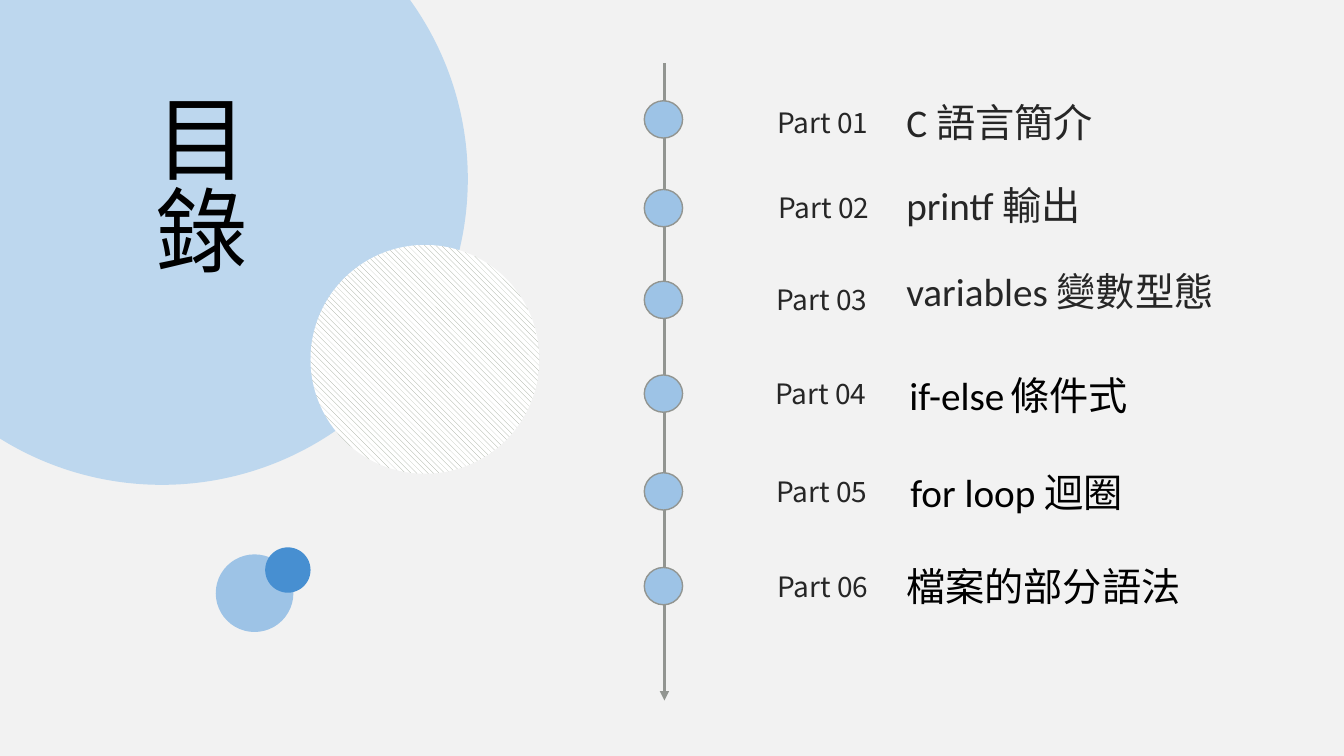
from dataclasses import dataclass

from pptx import Presentation
from pptx.dml.color import RGBColor
from pptx.enum import dml, shapes, text
from pptx.oxml.ns import qn
from pptx.util import Inches, Pt


@dataclass(frozen=True)
class Theme:
    """Colours, fonts and type sizes of the slide."""
    back: str = "F2F2F2"
    pale: str = "BDD7EE"
    light: str = "9DC3E6"
    blue: str = "478FD1"
    axis: str = "929591"
    hatch: str = "9AA394"
    white: str = "FFFFFF"
    black: str = "000000"
    ink: str = "262626"
    latin: str = "Calibri"
    arial: str = "Arial"
    korean: str = "Noto Sans CJK KR"
    simple: str = "Noto Sans CJK SC"
    trad: str = "Noto Sans CJK TC"
    title: int = 66
    topic: int = 28
    number: int = 20
    gap: int = 18


LOOK = Theme()
ROWS = [
    (1.0, 7.61, 1.0, 8.89, 0.93, LOOK.ink,
     [("C ", LOOK.latin), ("語言簡介", LOOK.arial)]),
    (1.88, 7.62, 1.84, 8.89, 1.75, LOOK.ink,
     [("printf ", LOOK.latin), ("輸出", LOOK.korean)]),
    (2.79, 7.6, 2.75, 8.89, 2.6, LOOK.ink,
     [("variables ", LOOK.latin), ("變數型態", LOOK.trad)]),
    (3.72, 7.59, 3.69, 8.92, 3.63, LOOK.black,
     [("if-else", LOOK.latin), (" ", LOOK.korean, LOOK.gap),
      ("條件式", LOOK.arial)]),
    (4.69, 7.6, 4.66, 8.93, 4.6, LOOK.black,
     [("for loop ", LOOK.latin), ("迴圈", LOOK.arial)]),
    (5.63, 7.61, 5.6, 8.89, 5.53, LOOK.black,
     [("檔案的部分語法", LOOK.latin)]),
]


def color(code):
    """Turn a hex code into a colour."""
    return RGBColor.from_string(code)


def style(run, face, size, ink):
    """Set face, size and colour of a run, East Asian text included."""
    run.font.name = face
    run.font.size = Pt(size)
    run.font.color.rgb = color(ink)
    props = run.font._element
    east = props.makeelement(qn("a:ea"), {"typeface": face})
    props.find(qn("a:latin")).addnext(east)


def circle(owner, left, top, wide, high, fill, line=None):
    """Draw a filled ellipse, outlined if a line colour is given."""
    disc = owner.add_shape(shapes.MSO_SHAPE.OVAL, Inches(left), Inches(top),
                           Inches(wide), Inches(high))
    disc.shadow.inherit = False
    disc.fill.solid()
    disc.fill.fore_color.rgb = color(fill)
    if line:
        disc.line.color.rgb = color(line)
        disc.line.width = Pt(1)
    else:
        disc.line.fill.background()
    return disc


def hatch(disc):
    """Give a disc a diagonal pattern."""
    disc.fill.patterned()
    disc.fill.pattern = dml.MSO_PATTERN.WIDE_DOWNWARD_DIAGONAL
    disc.fill.fore_color.rgb = color(LOOK.hatch)
    disc.fill.back_color.rgb = color(LOOK.white)


def arrow(owner, x, top, end):
    """Draw the vertical axis with an arrowhead at its end."""
    axis = owner.add_connector(shapes.MSO_CONNECTOR.STRAIGHT, Inches(x),
                               Inches(top), Inches(x), Inches(end))
    axis.line.color.rgb = color(LOOK.axis)
    axis.line.width = Pt(2.25)
    line = axis.line._get_or_add_ln()
    line.append(line.makeelement(qn("a:tailEnd"), {"type": "triangle"}))
    props = axis._element.spPr
    props.append(props.makeelement(qn("a:effectLst"), {}))


def label(slide, left, top, wide, high, ink, size, pieces):
    """Write one line of styled runs in a text box."""
    box = slide.shapes.add_textbox(Inches(left), Inches(top),
                                   Inches(wide), Inches(high))
    box.text_frame.word_wrap = True
    para = box.text_frame.paragraphs[0]
    for words, face, *own in pieces:
        run = para.add_run()
        run.text = words
        style(run, face, own[0] if own else size, ink)


def heading(slide, words):
    """Set the title vertically, in front of the discs."""
    title = slide.shapes.title
    title.left, title.top = Inches(1.31), Inches(0.86)
    title.width, title.height = Inches(1.31), Inches(2.99)
    frame = title.text_frame
    frame.text = words
    frame.word_wrap = True
    frame.auto_size = text.MSO_AUTO_SIZE.NONE
    frame.vertical_anchor = text.MSO_ANCHOR.TOP
    frame._txBody.bodyPr.set("vert", "eaVert")
    para = frame.paragraphs[0]
    para.alignment = text.PP_ALIGN.LEFT
    style(para.runs[0], LOOK.simple, LOOK.title, LOOK.black)
    slide.shapes._spTree.append(title._element)


def main():
    """Build and save the contents slide."""
    deck = Presentation()
    deck.slide_width, deck.slide_height = Inches(13.33), Inches(7.5)
    slide = deck.slides.add_slide(deck.slide_layouts[5])
    slide.background.fill.solid()
    slide.background.fill.fore_color.rgb = color(LOOK.back)

    pair = slide.shapes.add_group_shape().shapes
    circle(pair, 2.14, 5.5, 0.77, 0.77, LOOK.light)
    circle(pair, 2.63, 5.43, 0.45, 0.45, LOOK.blue)
    circle(slide.shapes, -1.43, -1.26, 6.07, 6.07, LOOK.pale)
    hatch(circle(slide.shapes, 3.08, 2.43, 2.27, 2.27, LOOK.white))
    heading(slide, "目錄")

    track = slide.shapes.add_group_shape().shapes
    arrow(track, 6.59, 0.63, 6.95)
    for num, row in enumerate(ROWS, 1):
        dot, left, top, start, head, ink, pieces = row
        circle(track, 6.39, dot, 0.38, 0.37, LOOK.light, LOOK.axis)
        label(slide, left, top, 1.43, 0.44, LOOK.ink, LOOK.number,
              [(f"Part {num:02}", LOOK.korean)])
        label(slide, start, head, 3.52, 0.57, ink, LOOK.topic, pieces)

    deck.save("out.pptx")


if __name__ == "__main__":
    main()
